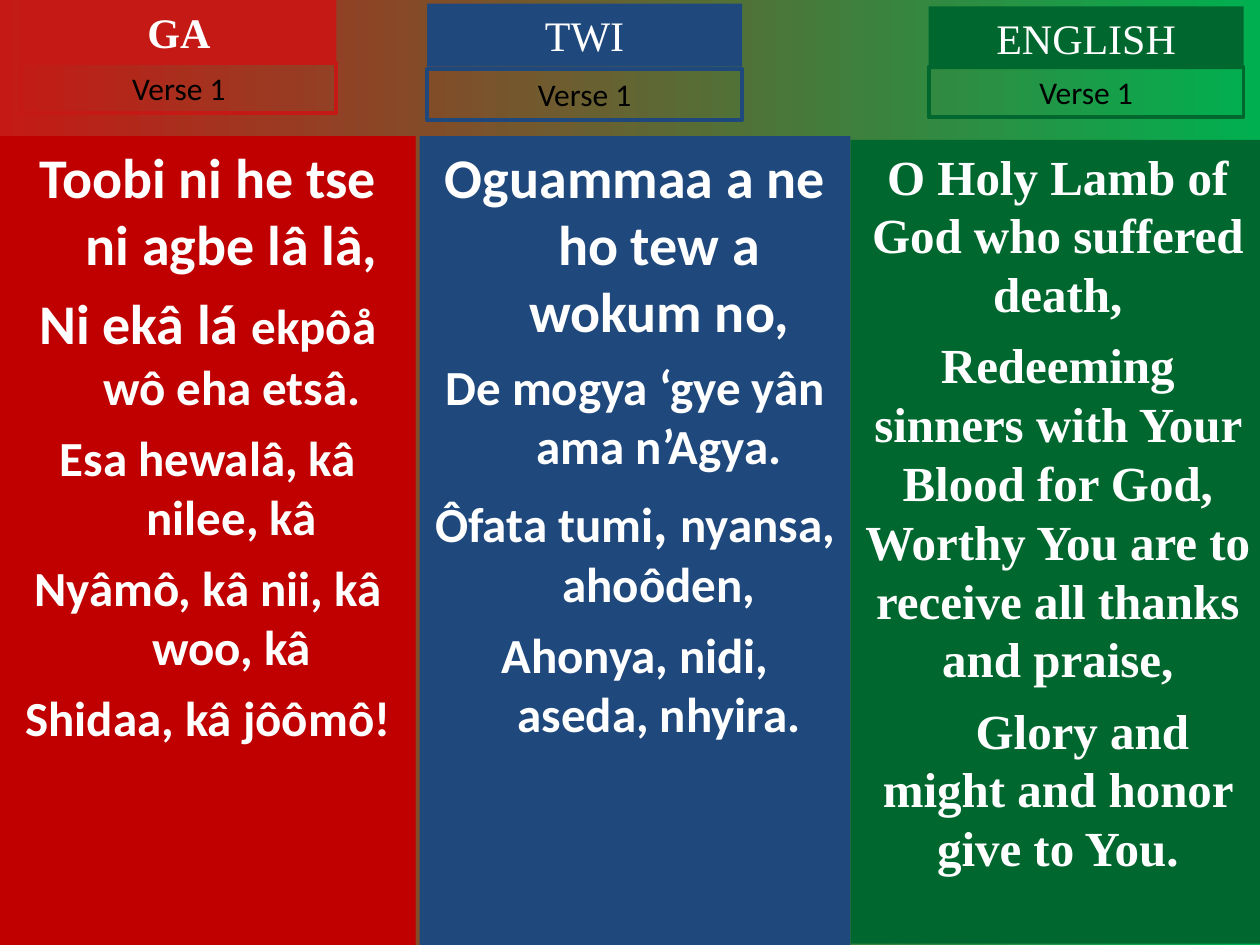
from pptx import Presentation
from pptx.dml.color import RGBColor
from pptx.enum.shapes import MSO_SHAPE as Shape
from pptx.enum.text import MSO_ANCHOR as Anchor, MSO_AUTO_SIZE as AutoSize, PP_ALIGN as Align
from pptx.util import Inches, Pt

CRIMSON = RGBColor(0xC5, 0x19, 0x15)
RED = RGBColor(0xC0, 0x00, 0x00)
BLUE = RGBColor(0x1F, 0x49, 0x7D)
GREEN = RGBColor(0x00, 0x68, 0x2F)
LIGHT_GREEN = RGBColor(0x00, 0xB0, 0x50)
WHITE = RGBColor(0xFF, 0xFF, 0xFF)
BLACK = RGBColor(0x00, 0x00, 0x00)

SANS = "Calibri"
SERIF = "Times New Roman"
HANGING = (0.38, -0.38)
FLUSH = (0, 0)
FIRST_LINE = (0, 0.39)

# Each verse line: (left margin, first-line indent), then (text, size) spans
GA_VERSE = [
    (HANGING, [("Toobi ni he tse ni agbe lâ lâ,", 32)]),
    (HANGING, [("Ni ekâ lá ", 32), ("ekpôå wô eha etsâ.", 28)]),
    (HANGING, [("Esa hewalâ, kâ nilee, kâ", 28)]),
    (HANGING, [("Nyâmô, kâ nii, kâ woo, kâ", 28)]),
    (HANGING, [("Shidaa, kâ jôômô!", 28)]),
]
TWI_VERSE = [
    (HANGING, [("Oguammaa a ne ho tew a wokum no,", 32)]),
    (HANGING, [("De mogya ‘gye yân ama n’Agya.", 28)]),
    (HANGING, [("Ôfata tumi", 28), (", ", 32), ("nyansa, ahoôden,", 28)]),
    (HANGING, [("Ahonya, nidi, aseda, nhyira.", 28)]),
]
ENGLISH_VERSE = [
    (FLUSH, [("O Holy Lamb of God who suffered death,", 28)]),
    (FLUSH, [("Redeeming sinners with Your Blood for God, "
              "Worthy You are to receive all thanks and praise,", 28)]),
    (FIRST_LINE, [("Glory and might and honor give to You.", 28)]),
]


def paint_background(page):
    fill = page.background.fill
    fill.gradient()
    fill.gradient_angle = 0
    for stop, color, position in zip(fill.gradient_stops, (CRIMSON, LIGHT_GREEN), (0, 1)):
        stop.color.rgb = color
        stop.position = position


def add_box(page, area, fill=None, line=None):
    box = page.shapes.add_shape(Shape.RECTANGLE, *map(Inches, area))
    box.shadow.inherit = False
    if fill is None:
        box.fill.background()
    else:
        box.fill.solid()
        box.fill.fore_color.rgb = fill
    if line is None:
        box.line.fill.background()
    else:
        box.line.color.rgb = line
        box.line.width = Pt(2.25)
    box.text_frame.word_wrap = True
    box.text_frame.vertical_anchor = Anchor.TOP
    return box


def set_font(font, name, color, bold):
    font.name = name
    font.color.rgb = color
    font.bold = bold


def add_label(page, area, text, font_name, size, color, bold=False, **paint):
    frame = add_box(page, area, **paint).text_frame
    frame.auto_size = AutoSize.SHAPE_TO_FIT_TEXT
    para = frame.paragraphs[0]
    para.text = text
    para.alignment = Align.CENTER
    para.font.size = Pt(size)
    set_font(para.font, font_name, color, bold)


def add_verse(page, area, fill, font_name, lines):
    frame = add_box(page, area, fill=fill).text_frame
    for index, ((margin, indent), spans) in enumerate(lines):
        para = frame.add_paragraph() if index else frame.paragraphs[0]
        para.alignment = Align.CENTER
        para.space_before = Pt(7 if index else 0)
        properties = para._p.get_or_add_pPr()
        properties.set("marL", str(Inches(margin)))
        properties.set("indent", str(Inches(indent)))
        set_font(para.font, font_name, WHITE, True)
        for text, size in spans:
            span = para.add_run()
            span.text = text
            span.font.size = Pt(size)


def add_heading(page, left, title_top, verse_top, title, color, bold=False):
    add_label(page, (left, title_top, 2.5, 0.5), title, SERIF, 24, WHITE, bold, fill=color)
    add_label(page, (left, verse_top, 2.5, 0.4), "Verse 1", SANS, 18, BLACK, line=color)


def main():
    deck = Presentation()
    deck.slide_width, deck.slide_height = Inches(10), Inches(7.5)
    page = deck.slides.add_slide(deck.slide_layouts[6])
    paint_background(page)

    # Verse columns
    add_verse(page, (0, 1.08, 3.3, 6.42), RED, SANS, GA_VERSE)
    add_verse(page, (3.33, 1.08, 3.42, 6.42), BLUE, SANS, TWI_VERSE)
    add_verse(page, (6.75, 1.11, 3.29, 6.38), GREEN, SERIF, ENGLISH_VERSE)

    # Language headings
    add_heading(page, 0.17, 0, 0.5, "GA", CRIMSON, bold=True)
    add_heading(page, 3.39, 0.03, 0.55, "TWI", BLUE)
    add_heading(page, 7.37, 0.05, 0.53, "ENGLISH", GREEN)

    deck.save("out.pptx")


if __name__ == "__main__":
    main()
